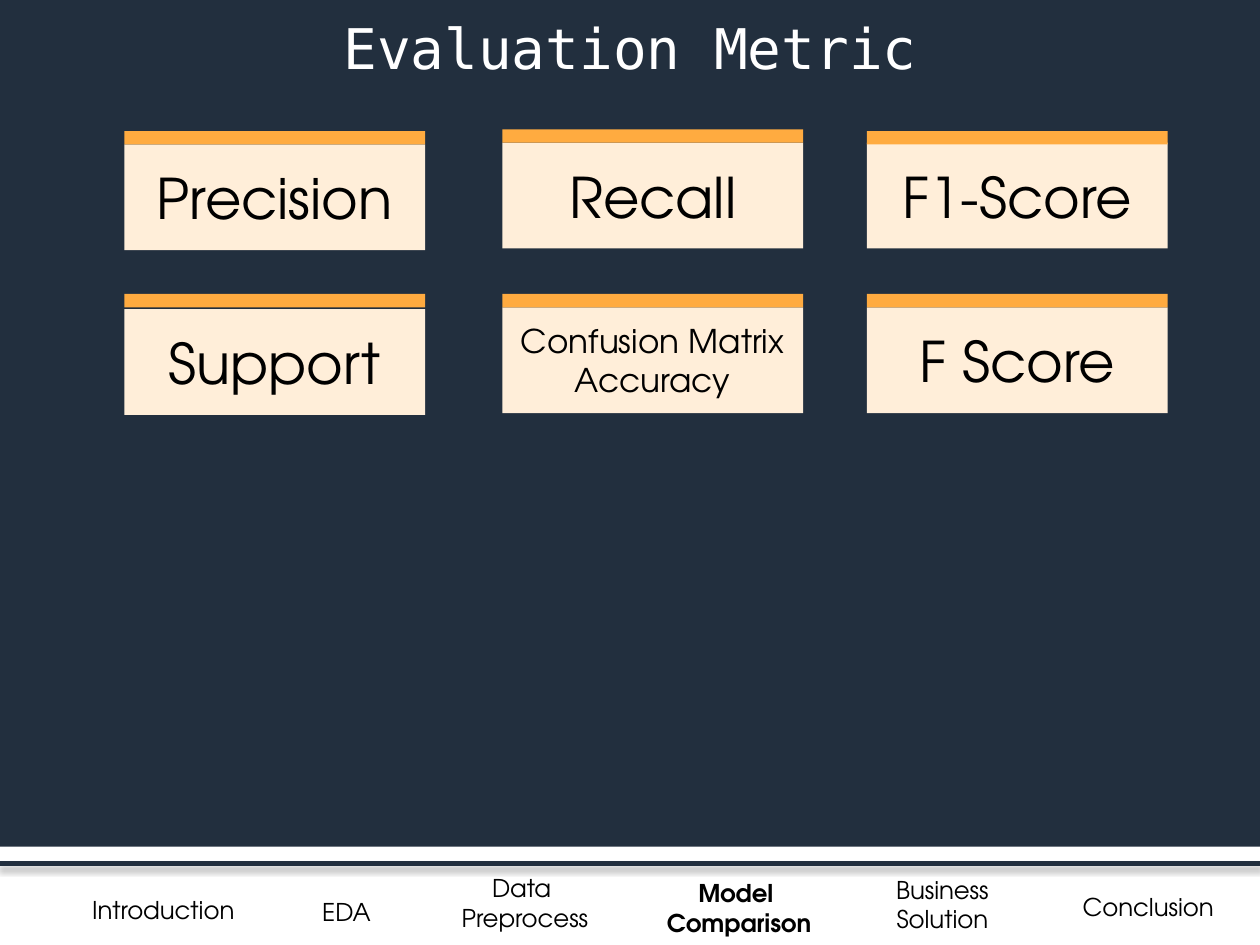
from lxml.etree import SubElement
from pptx import Presentation
from pptx.dml.color import RGBColor
from pptx.enum.shapes import MSO_CONNECTOR, MSO_SHAPE
from pptx.enum.text import MSO_ANCHOR, MSO_AUTO_SIZE, PP_ALIGN
from pptx.oxml.ns import qn
from pptx.util import Inches, Pt

TITLE = "Evaluation Metric"
METRICS = [  # text, font size, top of bar, top of card
    [("Precision", 24, 0.78, 0.86), ("Recall", 24, 0.77, 0.85), ("F1-Score", 24, 0.78, 0.85)],
    [("Support", 24, 1.75, 1.84), ("Confusion Matrix Accuracy", 14, 1.75, 1.83),
     ("F Score", 24, 1.75, 1.83)],
]
CURRENT_SECTION = "Model \nComparison"
SECTIONS = [  # text, left, top, width, height, alignment
    ("Introduction", 0.45, 5.28, 1.52, 0.29, PP_ALIGN.LEFT),
    ("EDA", 1.82, 5.29, 0.7, 0.28, PP_ALIGN.LEFT),
    ("Data \nPreprocess", 2.63, 5.15, 0.99, 0.45, PP_ALIGN.CENTER),
    (CURRENT_SECTION, 3.85, 5.18, 1.1, 0.45, PP_ALIGN.CENTER),
    ("Business Solution", 5.06, 5.16, 1.1, 0.45, PP_ALIGN.CENTER),
    ("Conclusion", 6.33, 5.26, 1.01, 0.28, PP_ALIGN.CENTER),
]
COLORS = {"navy": "222F3E", "orange": "FFAB40", "cream": "FFEED9",
          "black": "000000", "white": "FFFFFF"}
BODY_FONT, TITLE_FONT = "TeX Gyre Adventor", "DejaVu Sans Mono"

SLIDE_W = 7.5
SLIDE_H = SLIDE_W * 3 / 4
PANEL_H, RULE_Y = 5.04, 5.14
COLUMN_LEFTS = (0.74, 2.99, 5.16)
CARD_W, BAR_H, CARD_H = 1.79, 0.08, 0.63


def color(name):
    return RGBColor.from_string(COLORS[name])


def write(shape, text, size, font=BODY_FONT, fill="black", bold=False,
          align=PP_ALIGN.CENTER, anchor=MSO_ANCHOR.TOP):
    frame = shape.text_frame
    frame.word_wrap = True
    frame.auto_size = MSO_AUTO_SIZE.NONE
    frame.vertical_anchor = anchor
    frame.text = text
    for paragraph in frame.paragraphs:
        paragraph.alignment = align
        for run in paragraph.runs:
            run.font.name = font
            run.font.size = Pt(size)
            run.font.bold = bold
            run.font.color.rgb = color(fill)


def add_block(slide, left, top, width, height, fill):
    block = slide.shapes.add_shape(MSO_SHAPE.RECTANGLE, *map(Inches, (left, top, width, height)))
    block.shadow.inherit = False
    block.fill.solid()
    block.fill.fore_color.rgb = color(fill)
    block.line.fill.background()
    return block


def add_footer_rule(slide):
    rule = slide.shapes.add_connector(
        MSO_CONNECTOR.STRAIGHT, 0, Inches(RULE_Y), Inches(SLIDE_W), Inches(RULE_Y))
    rule.line.color.rgb = color("navy")
    rule.line.width = Pt(2)
    effects = SubElement(rule._element.spPr, qn("a:effectLst"))
    shadow = SubElement(effects, qn("a:outerShdw"), blurRad=str(Pt(3.1)),
                        dist=str(Pt(1.6)), dir="5400000", rotWithShape="0")
    shade = SubElement(shadow, qn("a:srgbClr"), val=COLORS["black"])
    SubElement(shade, qn("a:alpha"), val="38000")


def add_metric(slide, left, name, size, bar_top, card_top):
    card = add_block(slide, left, card_top, CARD_W, CARD_H, "cream")
    card.text_frame.margin_left = card.text_frame.margin_right = Inches(0.05)
    write(card, name, size, anchor=MSO_ANCHOR.MIDDLE)
    add_block(slide, left, bar_top, CARD_W, BAR_H, "orange")


def main():
    prs = Presentation()
    prs.slide_width, prs.slide_height = Inches(SLIDE_W), Inches(SLIDE_H)
    slide = prs.slides.add_slide(prs.slide_layouts[5])

    add_footer_rule(slide)
    for text, left, top, width, height, align in SECTIONS:
        label = slide.shapes.add_textbox(*map(Inches, (left, top, width, height)))
        write(label, text, 10.5, bold=text == CURRENT_SECTION, align=align)

    panel = add_block(slide, 0, 0, SLIDE_W, PANEL_H, "navy")
    title = slide.shapes.title
    title.left, title.top, title.width, title.height = map(Inches, (0, 0.03, SLIDE_W, 0.5))
    write(title, TITLE, 24, font=TITLE_FONT, fill="white")
    panel._element.addnext(title._element)  # brings the title in front of the panel

    for metrics in METRICS:
        for left, metric in zip(COLUMN_LEFTS, metrics):
            add_metric(slide, left, *metric)

    prs.save("out.pptx")


if __name__ == "__main__":
    main()
